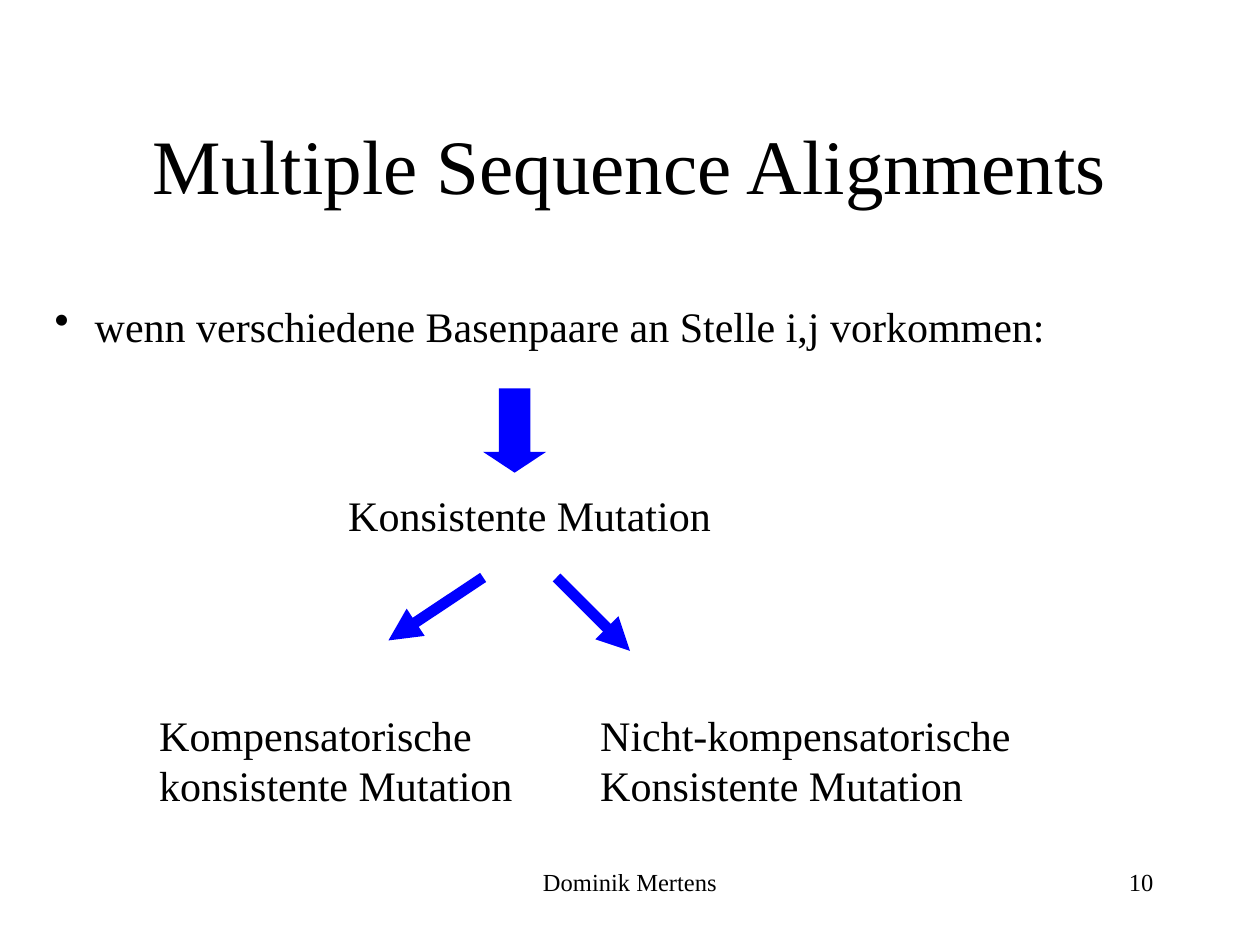
from lxml.etree import SubElement
from pptx import Presentation
from pptx.dml.color import RGBColor
from pptx.enum.shapes import MSO_CONNECTOR as Connector, MSO_SHAPE as Shape
from pptx.enum.text import MSO_ANCHOR as Anchor, PP_ALIGN as Align
from pptx.oxml.ns import qn
from pptx.util import Cm, Pt

BLACK = RGBColor(0, 0, 0)
BLUE = RGBColor(0, 0, 255)
FONT = "Times New Roman"


def write(frame, text, size, align=Align.LEFT):
    """Fill a text frame with one formatted paragraph."""
    frame.word_wrap = True
    frame.text = text
    paragraph = frame.paragraphs[0]
    paragraph.alignment = align
    font = paragraph.runs[0].font
    font.name, font.size, font.color.rgb = FONT, Pt(size), BLACK
    return paragraph


def add_label(slide, text, left, top, width, height, size=24, align=Align.LEFT):
    """Add a text box and return its paragraph."""
    label = slide.shapes.add_textbox(Cm(left), Cm(top), Cm(width), Cm(height))
    return write(label.text_frame, text, size, align)


def add_bullet(paragraph, indent):
    """Give a paragraph a round bullet with a hanging indent."""
    properties = paragraph._p.get_or_add_pPr()
    properties.set("marL", str(Cm(indent)))
    properties.set("indent", str(-Cm(indent)))
    colour = SubElement(properties, qn("a:buClr"))
    SubElement(colour, qn("a:srgbClr"), val=str(BLACK))
    SubElement(properties, qn("a:buChar"), char="•")


def add_title(slide, text):
    """Place and fill the title placeholder."""
    title = slide.shapes.title
    title.left, title.top, title.width, title.height = Cm(1.9), Cm(1.7), Cm(21.6), Cm(3.18)
    title.text_frame.vertical_anchor = Anchor.MIDDLE
    write(title.text_frame, text, 44, Align.CENTER)


def add_block_arrow(slide, left, top, width, height):
    """Add a solid arrow pointing down."""
    arrow = slide.shapes.add_shape(Shape.DOWN_ARROW, Cm(left), Cm(top), Cm(width), Cm(height))
    arrow.adjustments[0], arrow.adjustments[1] = 0.5, 0.33
    arrow.shadow.inherit = False
    arrow.fill.solid()
    arrow.fill.fore_color.rgb = BLUE
    arrow.line.fill.background()


def add_branch(slide, start_x, start_y, end_x, end_y):
    """Add a thick line with an arrowhead at its end."""
    branch = slide.shapes.add_connector(
        Connector.STRAIGHT, Cm(start_x), Cm(start_y), Cm(end_x), Cm(end_y))
    branch.line.color.rgb = BLUE
    branch.line.width = Pt(6.25)
    SubElement(branch.line._get_or_add_ln(), qn("a:tailEnd"), type="triangle")
    SubElement(branch._element.spPr, qn("a:effectLst"))


def main():
    """Build the slide and save it."""
    deck = Presentation()
    deck.slide_width, deck.slide_height = Cm(25.4), Cm(19.05)
    slide = deck.slides.add_slide(deck.slide_layouts[5])

    add_title(slide, "Multiple Sequence Alignments")
    condition = add_label(
        slide, "wenn verschiedene Basenpaare an Stelle i,j vorkommen:", 0.85, 5.93, 23.5, 1.27)
    add_bullet(condition, 0.81)
    add_block_arrow(slide, 9.74, 7.83, 1.27, 1.7)

    add_label(slide, "Konsistente Mutation", 6.77, 9.74, 7.83, 1.27)
    add_branch(slide, 9.74, 11.64, 7.83, 12.91)
    add_branch(slide, 11.22, 11.64, 12.7, 13.12)
    add_label(slide, "Kompensatorische konsistente Mutation", 2.96, 14.18, 7.83, 2.29)
    add_label(slide, "Nicht-kompensatorische Konsistente Mutation", 11.85, 14.18, 11, 2.29)

    add_label(slide, "Dominik Mertens", 8.68, 17.36, 8.04, 1.27, 14, Align.CENTER)
    add_label(slide, "10", 18.2, 17.36, 5.3, 1.27, 14, Align.RIGHT)
    deck.save("out.pptx")


if __name__ == "__main__":
    main()
